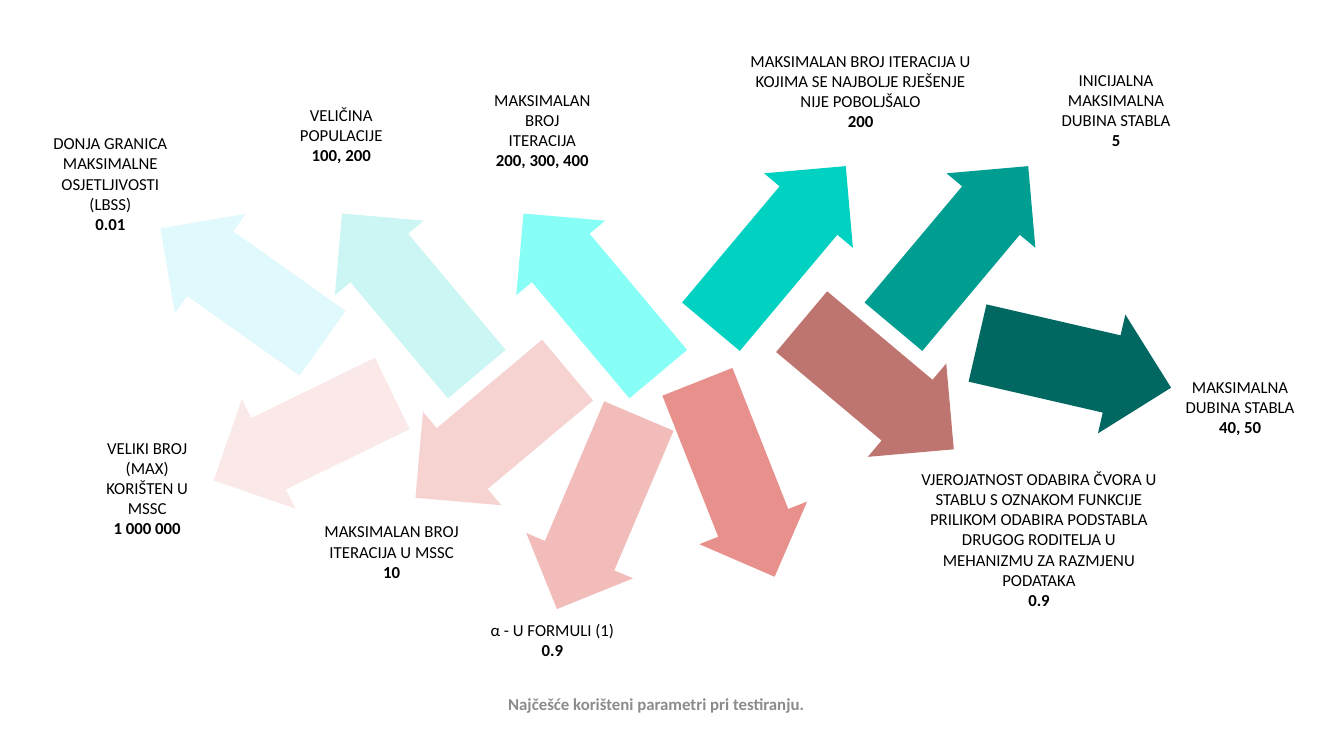
from pptx import Presentation
from pptx.dml.color import RGBColor
from pptx.enum.shapes import MSO_SHAPE
from pptx.enum.text import MSO_ANCHOR, MSO_AUTO_SIZE, PP_ALIGN
from pptx.util import Pt

PX = 9144  # 100 px to the inch
FONT = "Calibri"
CENTER = PP_ALIGN.CENTER
MIDDLE = MSO_ANCHOR.MIDDLE
GROW = MSO_AUTO_SIZE.SHAPE_TO_FIT_TEXT
RIGHT_ARROW = MSO_SHAPE.RIGHT_ARROW

BLACK = RGBColor(0x00, 0x00, 0x00)
GREY = RGBColor(0x8C, 0x8C, 0x8C)
ICE = RGBColor(0xE0, 0xF9, 0xFC)
MINT = RGBColor(0xCC, 0xF6, 0xF3)
AQUA = RGBColor(0x87, 0xFF, 0xF6)
TURQUOISE = RGBColor(0x00, 0xD1, 0xC1)
TEAL = RGBColor(0x00, 0x9D, 0x91)
DARK_TEAL = RGBColor(0x00, 0x68, 0x61)
BLUSH = RGBColor(0xFA, 0xE9, 0xE8)
PALE_PINK = RGBColor(0xF6, 0xD3, 0xD1)
PINK = RGBColor(0xF1, 0xBC, 0xB9)
CORAL = RGBColor(0xE8, 0x90, 0x8B)
BROWN = RGBColor(0xBF, 0x75, 0x6F)

LONG = (208, 115)
WIDE = (197, 121)

# left, top, (width, height), rotation, fill
ARROWS = [
    (489, 451, LONG, 113, PINK),
    (202, 373, WIDE, 154, BLUSH),
    (302, 234, LONG, 230, MINT),
    (389, 370, WIDE, 140, PALE_PINK),
    (482, 234, LONG, 230, AQUA),
    (967, 302, WIDE, 13, DARK_TEAL),
    (849, 187, LONG, 310, TEAL),
    (772, 322, WIDE, 40, BROWN),
    (668, 187, LONG, 310, TURQUOISE),
    (626, 418, LONG, 68.4, CORAL),
    (141, 223, WIDE, 215.3, ICE),
]

# left, top, width, height, lines of the name, value
LABELS = [
    (903, 460, 255, 150, ["VJEROJATNOST ODABIRA ČVORA U STABLU S OZNAKOM FUNKCIJE "
                          "PRILIKOM ODABIRA PODSTABLA DRUGOG RODITELJA U "
                          "MEHANIZMU ZA RAZMJENU PODATAKA"], "0.9"),
    (272, 99, 133, 70, ["VELIČINA POPULACIJE"], "100, 200"),
    (423, 84, 230, 90, ["MAKSIMALAN", "BROJ", "ITERACIJA"], "200, 300, 400"),
    (724, 45, 259, 90, ["MAKSIMALAN BROJ ITERACIJA U KOJIMA SE NAJBOLJE RJEŠENJE "
                        "NIJE POBOLJŠALO"], "200"),
    (992, 64, 230, 90, ["INICIJALNA", "MAKSIMALNA", "DUBINA STABLA"], "5"),
    (1115, 369, 230, 70, ["MAKSIMALNA", "DUBINA STABLA"], "40, 50"),
    (433, 610, 230, 50, ["α - U FORMULI (1)"], "0.9"),
    (41, 127, 137, 130, ["DONJA GRANICA MAKSIMALNE OSJETLJIVOSTI (LBSS)"], "0.01"),
    (87, 429, 118, 111, ["VELIKI BROJ (MAX) KORIŠTEN U MSSC"], "1 000 000"),
    (291, 512, 195, 71, ["MAKSIMALAN BROJ ITERACIJA U MSSC"], "10"),
]


def add_text(left, top, width, height, lines, color):
    """Add a centred text box whose last line is bold."""
    box = s.shapes.add_textbox(left * PX, top * PX, width * PX, height * PX)
    tf = box.text_frame
    tf.word_wrap = True
    for i, line in enumerate(lines):
        p = tf.add_paragraph() if i else tf.paragraphs[0]
        p.alignment = CENTER
        r = p.add_run()
        r.text = line
        r.font.name = FONT
        r.font.size = Pt(12)
        r.font.bold = i == len(lines) - 1
        r.font.color.rgb = color
    return tf


prs = Presentation()
prs.slide_width = 1333 * PX
prs.slide_height = 750 * PX
s = prs.slides.add_slide(prs.slide_layouts[6])

caption = add_text(312, 679, 678, 40, ["Najčešće korišteni parametri pri testiranju."], GREY)
caption.vertical_anchor = MIDDLE
caption.paragraphs[0].line_spacing = 0.9
caption.paragraphs[0].space_after = Pt(6)

for left, top, (width, height), rotation, fill in ARROWS:
    sp = s.shapes.add_shape(RIGHT_ARROW, left * PX, top * PX, width * PX, height * PX)
    sp.rotation = rotation
    sp.adjustments[0] = 0.65
    sp.adjustments[1] = 0.5
    sp.shadow.inherit = False
    sp.fill.solid()
    sp.fill.fore_color.rgb = fill
    sp.line.fill.background()

for left, top, width, height, name, value in LABELS:
    tf = add_text(left, top, width, height, name + [value], BLACK)
    tf.auto_size = GROW

prs.save("out.pptx")
